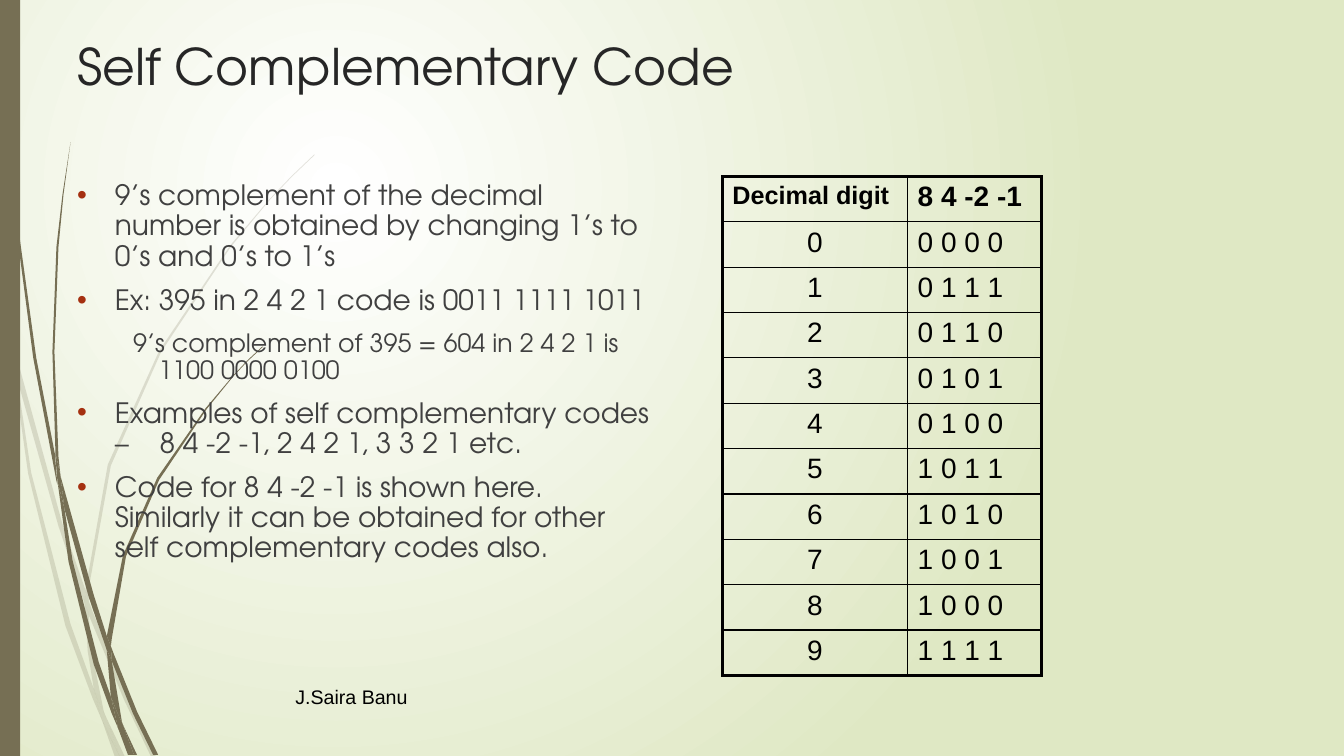
from dataclasses import dataclass

from lxml.etree import SubElement
from pptx import Presentation
from pptx.dml.color import RGBColor as RGB
from pptx.enum.shapes import MSO_SHAPE as Shape
from pptx.enum.text import MSO_ANCHOR as Anchor, PP_ALIGN as Align
from pptx.oxml.ns import qn
from pptx.util import Pt


@dataclass(frozen=True)
class Theme:
    """Colours, fonts and type sizes."""
    bark: str = "766F54"
    pale: str = "FFFFFF"
    leaf: str = "DFE8C4"
    ink: str = "262626"
    text: str = "404040"
    rust: str = "A53010"
    black: str = "000000"
    head: str = "TeX Gyre Adventor"
    sans: str = "Arial"
    title: int = 36
    body: int = 20
    sub: int = 18
    foot: int = 14


THEME = Theme()
UNIT = Pt(0.72)

REAR = [
    [(11, 350), (9, 322), (0, 282), (0, 299), (10, 344)],
    [(58, 522), (84, 599), (85, 586), (62, 520), (14, 345), (17, 376)],
    [(92, 607), (88, 596), (88, 610), (123, 694), (150, 751), (155, 751), (127, 692)],
    [(119, 751), (124, 751), (105, 711)],
    [(93, 683), (70, 619), (31, 469), (17, 376), (11, 350), (28, 470), (65, 621),
     (92, 693), (101, 714), (99, 707)],
    [(84, 599), (87, 646), (93, 683), (96, 692), (105, 711), (103, 706), (91, 646),
     (88, 610), (88, 608)],
    [(88, 584), (110, 462), (160, 349), (229, 245), (268, 198), (290, 175), (312, 154),
     (312, 153), (289, 175), (268, 197), (228, 244), (158, 348), (107, 461), (85, 584),
     (85, 586), (88, 596)],
    [(101, 714), (114, 751), (119, 751)],
    [(88, 608), (88, 610), (88, 596), (85, 586), (84, 599)],
    [(96, 692), (93, 683), (99, 707), (101, 714), (119, 751), (105, 711)],
]
FRONT = [
    [(7, 110), (17, 233), (33, 355), (56, 477), (57, 481), (55, 457), (55, 453),
     (36, 355), (19, 232), (8, 109), (5, 48), (4, 0), (3, 0), (4, 48)],
    [(88, 592), (106, 645), (106, 633), (106, 631), (93, 590), (60, 472), (64, 505)],
    [(113, 649), (110, 641), (111, 656), (132, 708), (152, 749), (157, 749), (136, 706)],
    [(110, 691), (98, 657), (72, 556), (64, 505), (57, 477), (68, 557), (93, 659),
     (111, 708), (117, 722), (116, 717)],
    [(60, 472), (58, 453), (54, 349), (58, 245), (63, 193), (70, 141), (62, 193),
     (56, 245), (52, 349), (55, 449)],
    [(133, 749), (136, 749), (122, 719)],
    [(57, 477), (64, 505), (60, 472), (55, 449), (55, 453)],
    [(111, 633), (125, 552), (158, 476), (205, 406), (231, 374), (245, 359), (261, 344),
     (260, 344), (245, 358), (231, 373), (204, 405), (156, 474), (122, 551), (106, 631),
     (110, 641)],
    [(117, 722), (127, 749), (131, 749)],
    [(106, 645), (110, 691), (116, 706), (122, 719), (121, 716), (111, 656), (109, 651)],
    [(106, 645), (109, 651), (111, 656), (110, 641), (106, 631), (106, 633)],
    [(116, 706), (110, 691), (116, 717), (117, 722), (130, 749), (133, 749), (122, 719)],
]

POINTS = [
    (0, "9’s complement of the decimal number is obtained by changing 1’s to 0’s and 0’s to 1’s"),
    (0, "Ex: 395 in 2 4 2 1 code is 0011 1111 1011"),
    (1, "9’s complement of 395 = 604 in 2 4 2 1 is 1100 0000 0100"),
    (0, "Examples of self complementary codes –\t8 4 -2 -1, 2 4 2 1, 3 3 2 1 etc."),
    (0, "Code for 8 4 -2 -1 is shown here. Similarly it can be obtained for other self "
        "complementary codes also."),
]
CODES = ["0 0 0 0", "0 1 1 1", "0 1 1 0", "0 1 0 1", "0 1 0 0",
         "1 0 1 1", "1 0 1 0", "1 0 0 1", "1 0 0 0", "1 1 1 1"]


def paint(shape, color, alpha=100):
    """Fill a shape without outline or shadow."""
    shape.shadow.inherit = False
    shape.line.fill.background()
    shape.fill.solid()
    shape.fill.fore_color.rgb = RGB.from_string(color)
    if alpha < 100:
        tone = next(shape.element.iter(qn("a:srgbClr")))
        SubElement(tone, qn("a:alpha"), val=str(alpha * 1000))


def write(para, text, size, color, font, bold=False):
    """Add one formatted run."""
    run = para.add_run()
    run.text = text
    run.font.size = Pt(size)
    run.font.name = font
    run.font.bold = bold
    run.font.color.rgb = RGB.from_string(color)


def place(shape, left, top, width, height):
    """Set the box of a shape."""
    shape.left, shape.top = Pt(left), Pt(top)
    shape.width, shape.height = Pt(width), Pt(height)


def add_back(slide):
    """Lay a round gradient behind the slide."""
    fill = slide.background.fill
    fill.gradient()
    for stop, color in zip(fill.gradient_stops, (THEME.pale, THEME.leaf)):
        stop.color.rgb = RGB.from_string(color)
    grad = next(slide.element.iter(qn("a:gradFill")))
    grad.remove(grad.find(qn("a:lin")))
    ring = SubElement(grad, qn("a:path"), path="circle")
    SubElement(ring, qn("a:fillToRect"), l="50000", t="50000", r="100000", b="100000")


def add_grass(slide, blades, alpha):
    """Draw a group of grass blades."""
    group = slide.shapes.add_group_shape()
    for start, *rest in blades:
        pen = group.shapes.build_freeform(*start, scale=UNIT)
        pen.add_line_segments(rest, close=True)
        paint(pen.convert_to_shape(), THEME.bark, alpha)


def add_title(slide, text):
    """Move and fill the title."""
    title = slide.shapes.title
    place(title, 48, 21.6, 864, 90)
    frame = title.text_frame
    frame.vertical_anchor = Anchor.TOP
    para = frame.paragraphs[0]
    para.alignment = Align.LEFT
    write(para, text, THEME.title, THEME.ink, THEME.head)


def add_box(slide, *box):
    """Add a wrapping text box and return its frame."""
    frame = slide.shapes.add_textbox(*map(Pt, box)).text_frame
    frame.word_wrap = True
    return frame


def set_list(para, level):
    """Indent a list line and give the top level its bullet."""
    para.level = level
    left, hang = ((27, -27), (58, -18))[level]
    props = para._p.get_or_add_pPr()
    props.set("marL", str(Pt(left)))
    props.set("indent", str(Pt(hang)))
    if level == 0:
        tint = SubElement(props, qn("a:buClr"))
        SubElement(tint, qn("a:srgbClr"), val=THEME.rust)
        SubElement(props, qn("a:buFont"), typeface=THEME.sans)
        SubElement(props, qn("a:buChar"), char="•")
        tabs = SubElement(props, qn("a:tabLst"))
        SubElement(tabs, qn("a:tab"), pos=str(Pt(59)), algn="l")


def add_list(slide):
    """Add the bulleted points."""
    frame = add_box(slide, 48, 126, 424, 356.4)
    for i, (level, text) in enumerate(POINTS):
        para = frame.add_paragraph() if i else frame.paragraphs[0]
        para.line_spacing = 0.9
        para.space_before = Pt(10)
        set_list(para, level)
        write(para, text, (THEME.body, THEME.sub)[level], THEME.text, THEME.head)


def set_edge(cell, side, width):
    """Draw one border of a cell."""
    line = SubElement(cell._tc.get_or_add_tcPr(), qn(f"a:ln{side}"), w=str(Pt(width)))
    fill = SubElement(line, qn("a:solidFill"))
    SubElement(fill, qn("a:srgbClr"), val=THEME.black)


def add_codes(slide):
    """Add the table of digits and codes."""
    rows = [("Decimal digit", "8 4 -2 -1"), *((str(i), code) for i, code in enumerate(CODES))]
    last = len(rows) - 1
    table = slide.shapes.add_table(len(rows), 2, Pt(516), Pt(126), Pt(228), Pt(356.4)).table
    table.first_row = table.horz_banding = False
    for col, width in zip(table.columns, (132.3, 95.7)):
        col.width = Pt(width)
    for r, row in enumerate(rows):
        table.rows[r].height = Pt(32.4)
        for c, text in enumerate(row):
            cell = table.cell(r, c)
            cell.margin_top, cell.margin_bottom = Pt(3.6), Pt(2.2)
            outer = {"L": c == 0, "R": c == 1, "T": r == 0, "B": r == last}
            for side, edge in outer.items():
                set_edge(cell, side, 2.25 if edge else 1)
            cell.fill.background()
            para = cell.text_frame.paragraphs[0]
            para.alignment = Align.CENTER if r and c == 0 else Align.LEFT
            size = THEME.sub if r == c == 0 else THEME.body
            write(para, text, size, THEME.black, THEME.sans, r == 0)


def main():
    """Build the slide and save it."""
    deck = Presentation()
    deck.slide_width, deck.slide_height = Pt(960), Pt(540)
    slide = deck.slides.add_slide(deck.slide_layouts[5])
    add_back(slide)
    add_grass(slide, REAR, 20)
    add_grass(slide, FRONT, 100)
    bar = slide.shapes.add_shape(Shape.RECTANGLE, 0, 0, Pt(14.4), Pt(540))
    paint(bar, THEME.bark)
    add_title(slide, "Self Complementary Code")
    add_list(slide)
    add_codes(slide)
    foot = add_box(slide, 203.8, 483, 600, 28.8)
    foot.vertical_anchor = Anchor.MIDDLE
    write(foot.paragraphs[0], "J.Saira Banu", THEME.foot, THEME.black, THEME.sans)
    deck.save("out.pptx")


if __name__ == "__main__":
    main()
